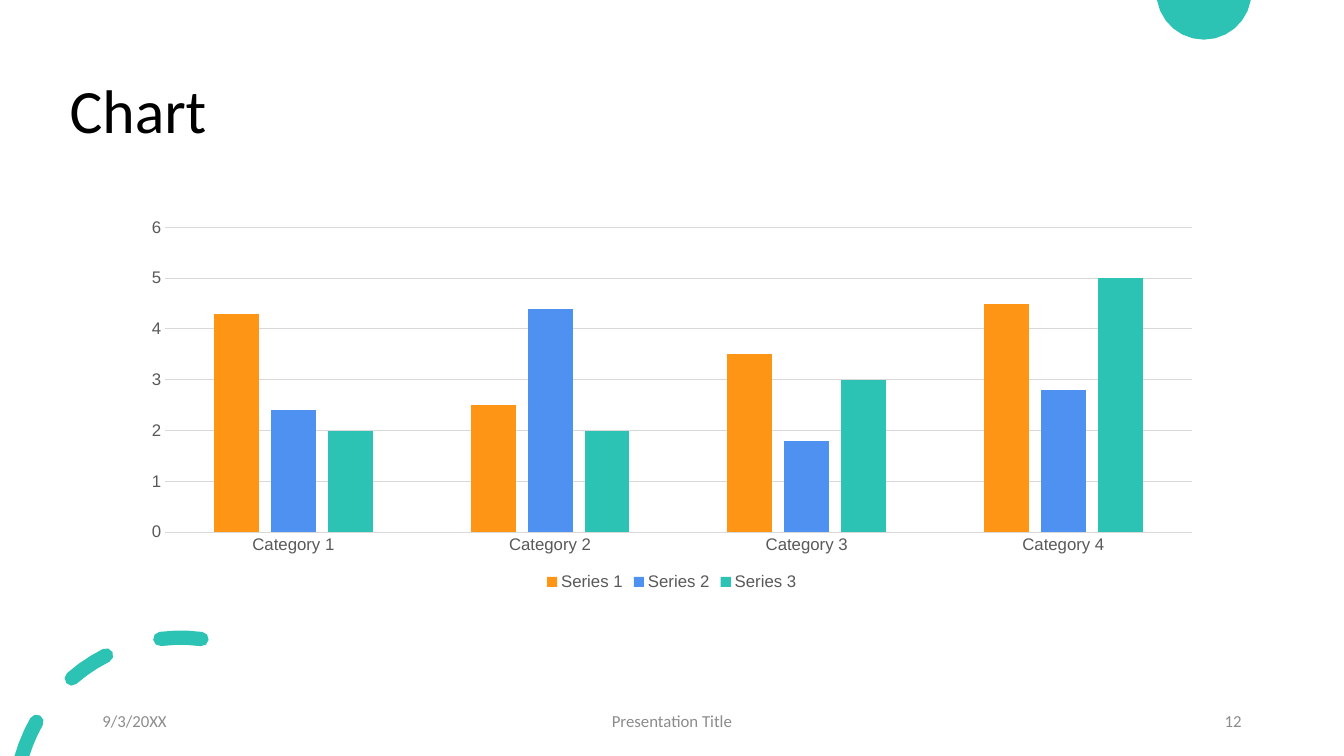
from math import asin, cos, degrees, radians, sin
from pptx import Presentation
from pptx.chart.data import CategoryChartData as Data
from pptx.dml.color import RGBColor
from pptx.enum.chart import XL_CHART_TYPE as Kind, XL_LEGEND_POSITION as Spot
from pptx.enum.chart import XL_TICK_MARK as Tick
from pptx.enum.text import MSO_ANCHOR as Anchor, PP_ALIGN as Align
from pptx.util import Cm, Pt

# Content
TITLE = "Chart"
CATS = ["Category 1", "Category 2", "Category 3", "Category 4"]
SERIES = [
    ("Series 1", "FF9514", (4.3, 2.5, 3.5, 4.5)),
    ("Series 2", "4E91F0", (2.4, 4.4, 1.8, 2.8)),
    ("Series 3", "2CC3B4", (2, 2, 3, 5)),
]
FOOTER = [  # text, left, width, alignment
    ("9/3/20XX", 2.33, 7.62, Align.LEFT),
    ("Presentation Title", 11.22, 11.43, Align.CENTER),
    ("12", 23.92, 7.62, Align.RIGHT),
]
TEAL, GREY, RULE, DIM = "2CC3B4", "595959", "D9D9D9", "8C8C8C"
WIDE, HIGH = 33.87, 19.05

# Decoration: a disc cut by the top edge, a dashed ring cut by the bottom
DISC = (30.34, -0.2, 1.2)  # centre x, centre y, radius
RING = (4.55, 20.24, 4.17)
HALF = 0.18  # half the thickness of a dash
DASHES = [(None, 209.5), (228.9, 243.3), (263, 277.3)]  # None: slide edge


def tint(code):
    return RGBColor.from_string(code)


def style(font, name, size, code):
    font.name, font.size = name, Pt(size)
    font.color.rgb = tint(code)


def arc(x, y, r, start, end, steps):
    turns = [radians(start + (end - start) * i / steps) for i in range(steps + 1)]
    return [(x + r * cos(t), y + r * sin(t)) for t in turns]


def meet(y, r, edge):
    """Angle between the horizontal and the point where a circle meets an edge."""
    return degrees(asin(abs(edge - y) / r))


def cap(angle, turn):
    x, y, r = RING
    mid = (x + r * cos(radians(angle)), y + r * sin(radians(angle)))
    return arc(*mid, HALF, angle + turn, angle + turn + 180, 4)


def dash(start, end):
    x, y, r = RING
    cut = start is None
    first, last = [180 + meet(y, rad, HIGH) if cut else start
                   for rad in (r + HALF, r - HALF)]
    return (arc(x, y, r + HALF, first, end, 3) + cap(end, 0)[1:-1]
            + arc(x, y, r - HALF, end, last, 3)
            + ([] if cut else cap(start, 180)[1:-1]))


def draw(shapes, loops):
    pen = None
    for loop in loops:
        dots = [(Cm(x), Cm(y)) for x, y in loop]
        if pen is None:
            pen = shapes.build_freeform(*dots[0], scale=1.0)
        else:
            pen.move_to(*dots[0])
        pen.add_line_segments(dots[1:], close=True)
    shape = pen.convert_to_shape()
    shape.shadow.inherit = False
    shape.fill.solid()
    shape.fill.fore_color.rgb = tint(TEAL)
    shape.line.fill.background()


deck = Presentation()
deck.slide_width, deck.slide_height = Cm(WIDE), Cm(HIGH)
slide = deck.slides.add_slide(deck.slide_layouts[5])
shapes = slide.shapes

side = meet(*DISC[1:], 0)
draw(shapes, [arc(*DISC, side, 180 - side, 12)])
draw(shapes, [dash(*span) for span in DASHES])

# Title
title = shapes.title
title.left, title.top = Cm(1.5), Cm(1.02)
title.width, title.height = Cm(16.13), Cm(3.68)
title.text_frame.text = TITLE
title.text_frame.vertical_anchor = Anchor.MIDDLE
para = title.text_frame.paragraphs[0]
para.alignment, para.line_spacing = Align.LEFT, 0.9
style(para.font, "Calibri", 44, "000000")

# Chart
data = Data()
data.categories = CATS
for name, _, vals in SERIES:
    data.add_series(name, vals)
chart = shapes.add_chart(Kind.COLUMN_CLUSTERED, Cm(3.28), Cm(5.31),
                         Cm(27.3), Cm(9.68), data).chart
chart.has_title = False
style(chart.font, "Arial", 12, GREY)
chart.has_legend = True
chart.legend.position = Spot.BOTTOM
chart.legend.include_in_layout = False
style(chart.legend.font, "Arial", 12, GREY)

plot = chart.plots[0]
plot.gap_width, plot.overlap, plot.vary_by_categories = 219, -27, False
for bars, (_, code, _) in zip(plot.series, SERIES):
    bars.format.fill.solid()
    bars.format.fill.fore_color.rgb = tint(code)

base, scale = chart.category_axis, chart.value_axis
for axis in (base, scale):
    axis.major_tick_mark = axis.minor_tick_mark = Tick.NONE
    style(axis.tick_labels.font, "Arial", 12, GREY)
scale.format.line.fill.background()
scale.has_major_gridlines = True
for line in (base.format.line, scale.major_gridlines.format.line):
    line.color.rgb, line.width = tint(RULE), Pt(0.75)

# Footer
for text, left, width, align in FOOTER:
    frame = shapes.add_textbox(Cm(left), Cm(17.65), Cm(width), Cm(1.01)).text_frame
    frame.word_wrap, frame.vertical_anchor = True, Anchor.MIDDLE
    frame.text = text
    para = frame.paragraphs[0]
    para.alignment = align
    style(para.font, "Calibri", 12, DIM)

deck.save("out.pptx")
